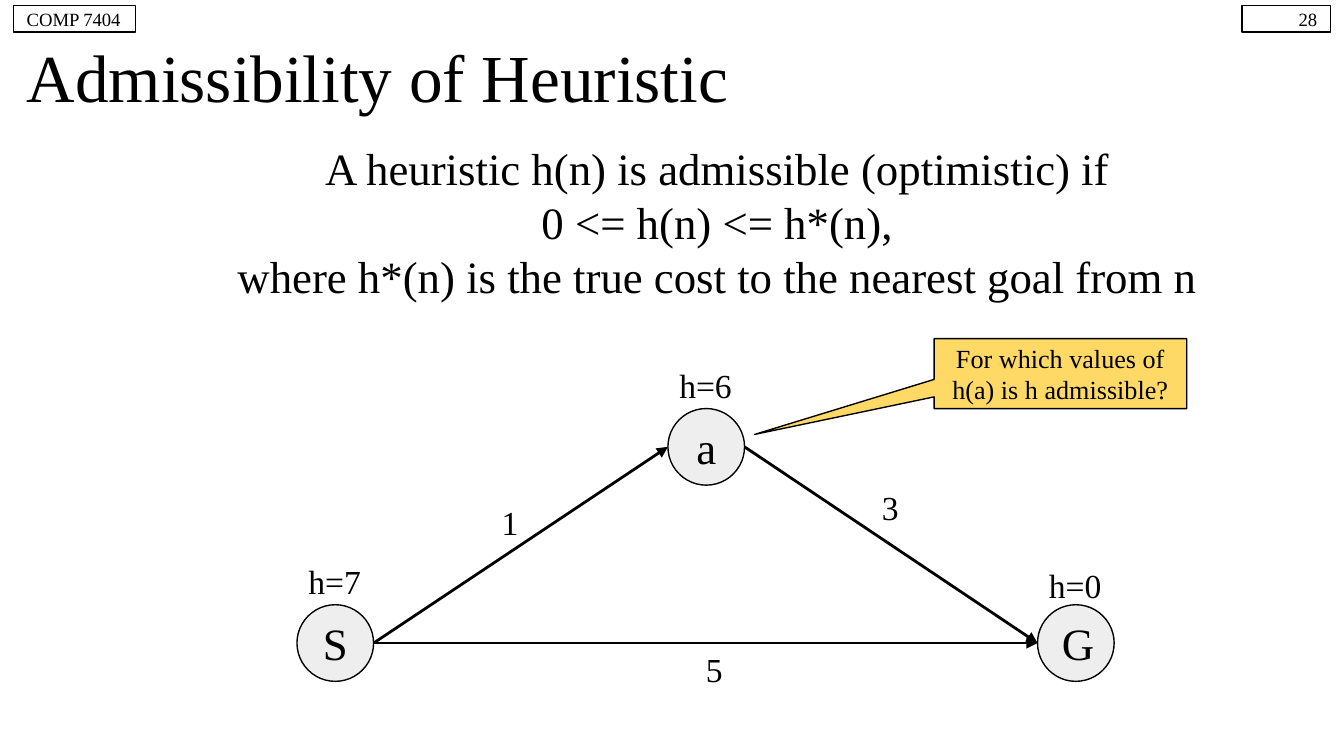
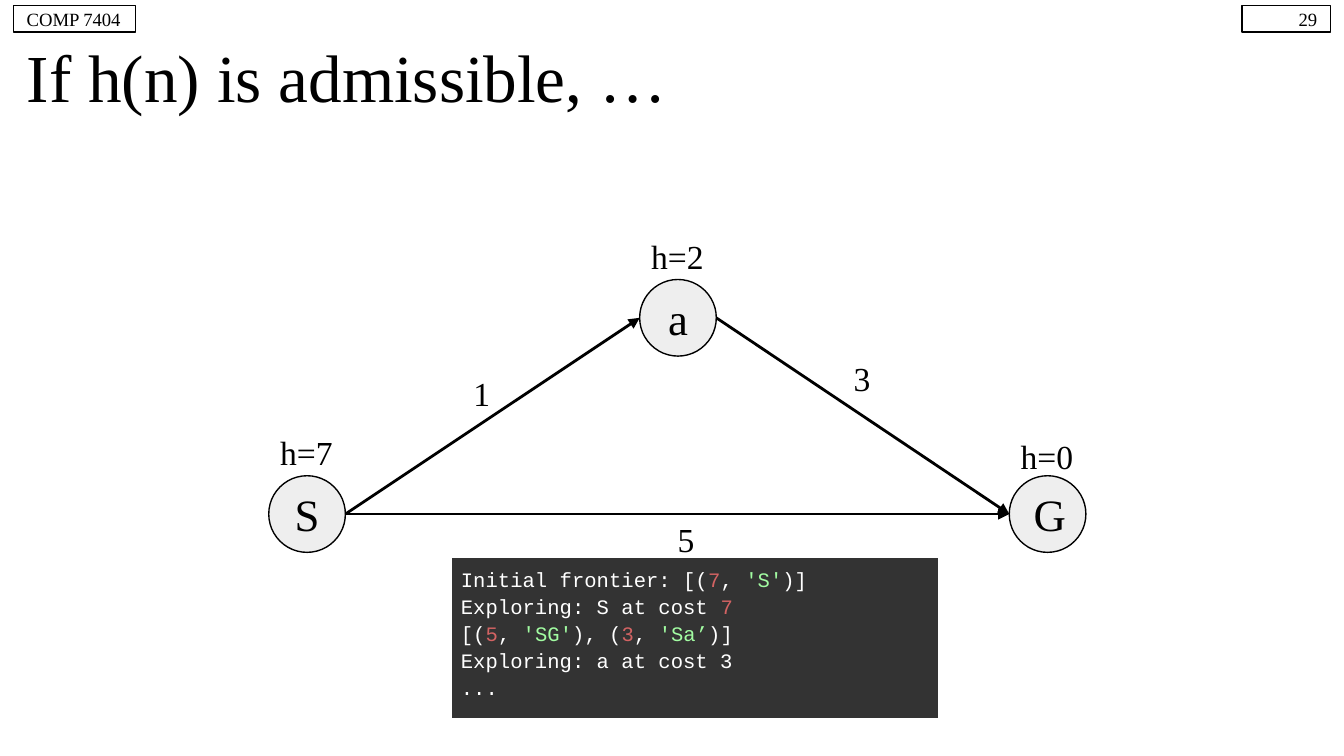
from lxml import etree
from pptx import Presentation
from pptx import util as u
from pptx.dml.color import RGBColor
from pptx.enum import shapes, text
from pptx.oxml import ns

BLACK = RGBColor(0x00, 0x00, 0x00)
WHITE = RGBColor(0xFF, 0xFF, 0xFF)
NODE = RGBColor(0xEE, 0xEE, 0xEE)
AMBER = RGBColor(0xFF, 0xD9, 0x66)
CODE = RGBColor(0x33, 0x33, 0x33)
RED = RGBColor(0xD3, 0x63, 0x63)
GREEN = RGBColor(0xA2, 0xFC, 0xA2)
SERIF, MONO = "Times New Roman", "Courier New"
LEFT, CENTER, RIGHT = text.PP_ALIGN.LEFT, text.PP_ALIGN.CENTER, text.PP_ALIGN.RIGHT
SHAPE = shapes.MSO_SHAPE
DIAMETER = 0.57


def write(tf, paragraphs, size=18, font=SERIF, color=BLACK, align=CENTER,
          spacing=None, inset=0.1, wrap=True):
    """Fill a text frame; a paragraph is a string or a list of (text, colour) runs."""
    tf.word_wrap = wrap
    tf.vertical_anchor = text.MSO_ANCHOR.MIDDLE
    tf.margin_left = tf.margin_right = tf.margin_top = tf.margin_bottom = u.Inches(inset)
    for i, runs in enumerate(paragraphs):
        p = tf.add_paragraph() if i else tf.paragraphs[0]
        p.alignment = align
        if spacing:
            p.line_spacing = spacing
        for words, tint in [(runs, color)] if isinstance(runs, str) else runs:
            for j, line in enumerate(words.split("\n")):
                if j:
                    p.add_line_break()
                if line:
                    r = p.add_run()
                    r.text = line
                    r.font.name, r.font.size = font, u.Pt(size)
                    r.font.color.rgb = tint


class Deck:
    """Holds the lecture style and the current slide."""

    def __init__(self):
        self.prs = Presentation()
        self.prs.slide_width = u.Inches(10)
        self.prs.slide_height = u.Inches(10) * 9 // 16

    def slide(self, title, number):
        self.s = self.prs.slides.add_slide(self.prs.slide_layouts[5])
        sp = self.s.shapes.title
        sp.left, sp.top, sp.width, sp.height = map(u.Inches, (0.1, 0.28, 9.8, 0.57))
        sp.text_frame.auto_size = text.MSO_AUTO_SIZE.NONE
        write(sp.text_frame, [title], size=36, align=LEFT)
        self.shape(SHAPE.RECTANGLE, (9.24, 0.04, 0.66, 0.2), str(number), size=10, align=RIGHT)
        self.shape(SHAPE.RECTANGLE, (0.1, 0.04, 0.91, 0.2), "COMP 7404", size=10, align=LEFT)

    def shape(self, kind, box, words, fill=None, **fmt):
        sp = self.s.shapes.add_shape(kind, *map(u.Inches, box))
        sp.shadow.inherit = False
        if fill is None:
            sp.fill.background()
        else:
            sp.fill.solid()
            sp.fill.fore_color.rgb = fill
        sp.line.color.rgb, sp.line.width = BLACK, u.Pt(0.75)
        write(sp.text_frame, [words], **fmt)
        return sp

    def label(self, box, *lines, **fmt):
        sp = self.s.shapes.add_textbox(*map(u.Inches, box))
        write(sp.text_frame, lines, **fmt)

    def arrow(self, start, end):
        cx = self.s.shapes.add_connector(shapes.MSO_CONNECTOR.STRAIGHT,
                                         *map(u.Inches, (*start, *end)))
        cx.line.color.rgb, cx.line.width = BLACK, u.Pt(1.5)
        etree.SubElement(cx.line._get_or_add_ln(), ns.qn("a:tailEnd"), type="triangle")
        etree.SubElement(cx._element.spPr, ns.qn("a:effectLst"))

    def graph(self, left, top, h_a):
        nodes = {"S": (left, top + 1.46, "h=7", 1.11),
                 "a": (left + 2.76, top, f"h={h_a}", -0.35),
                 "G": (left + 5.51, top + 1.46, "h=0", 1.14)}
        for name, (x, y, _, _) in nodes.items():
            self.shape(SHAPE.OVAL, (x, y, DIAMETER, DIAMETER), name, NODE, size=24)
        for tail, head in ("Sa", "SG", "aG"):
            (x1, y1, *_), (x2, y2, *_) = nodes[tail], nodes[head]
            self.arrow((x1 + DIAMETER, y1 + DIAMETER / 2), (x2, y2 + DIAMETER / 2))
        for cost, dx, dy in (("1", 1.3, 0.56), ("3", 4.13, 0.45), ("5", 2.82, 1.65)):
            self.label((left + dx, top + dy, DIAMETER, DIAMETER), cost)
        for x, _, heuristic, dy in nodes.values():
            self.label((x - 0.02, top + dy, 0.6, 0.35), heuristic, wrap=False)

    def code(self, box, paragraphs):
        frame = self.s.shapes.add_table(1, 1, *map(u.Inches, box))
        table = frame.table
        table.first_row = table.horz_banding = False
        table.rows[0].height = 0
        frame.height = u.Inches(box[3])
        cell = table.cell(0, 0)
        write(cell.text_frame, paragraphs, size=11, font=MONO, color=WHITE,
              align=LEFT, spacing=1.15)
        cell.margin_left = cell.margin_right = u.Inches(0.07)
        cell.margin_top = cell.margin_bottom = u.Inches(0.07)
        cell.vertical_anchor = text.MSO_ANCHOR.TOP
        props = cell._tc.get_or_add_tcPr()
        for side in "LRTB":
            ln = etree.SubElement(props, ns.qn(f"a:ln{side}"), w=str(u.Pt(0.75)))
            paint = etree.SubElement(ln, ns.qn("a:solidFill"))
            tint = etree.SubElement(paint, ns.qn("a:srgbClr"), val=str(BLACK))
            etree.SubElement(tint, ns.qn("a:alpha"), val="0")
        cell.fill.solid()
        cell.fill.fore_color.rgb = CODE


def main():
    deck = Deck()
    deck.slide("Admissibility of Heuristic", 28)
    deck.label((1.65, 0.97, 7.37, 1.36),
               "A heuristic h(n) is admissible (optimistic) if",
               "0 <= h(n) <= h*(n),",
               "where h*(n) is the true cost to the nearest goal from n", size=24)
    deck.graph(2.21, 3.04, h_a=6)
    callout = deck.shape(SHAPE.ROUNDED_RECTANGULAR_CALLOUT, (6.95, 2.52, 1.88, 0.52),
                         "For which values of h(a) is h admissible?", AMBER, size=14)
    for i, value in enumerate((-1.21, 0.87, 0)):
        callout.adjustments[i] = value

    deck.slide("If h(n) is admissible, …", 29)
    deck.graph(2, 2.08, h_a=2)
    deck.code((3.36, 4.15, 3.62, 1.18), [
        [("Initial frontier: [(", WHITE), ("7", RED), (", ", WHITE), ("'S'", GREEN),
         (")]\nExploring: S at cost ", WHITE), ("7\n", RED),
         ("[(", WHITE), ("5", RED), (", ", WHITE), ("'SG'", GREEN), ("), (", WHITE),
         ("3", RED), (", ", WHITE), ("'Sa’", GREEN),
         (")]\nExploring: a at cost 3", WHITE)],
        "..."])
    deck.prs.save("out.pptx")


if __name__ == "__main__":
    main()
